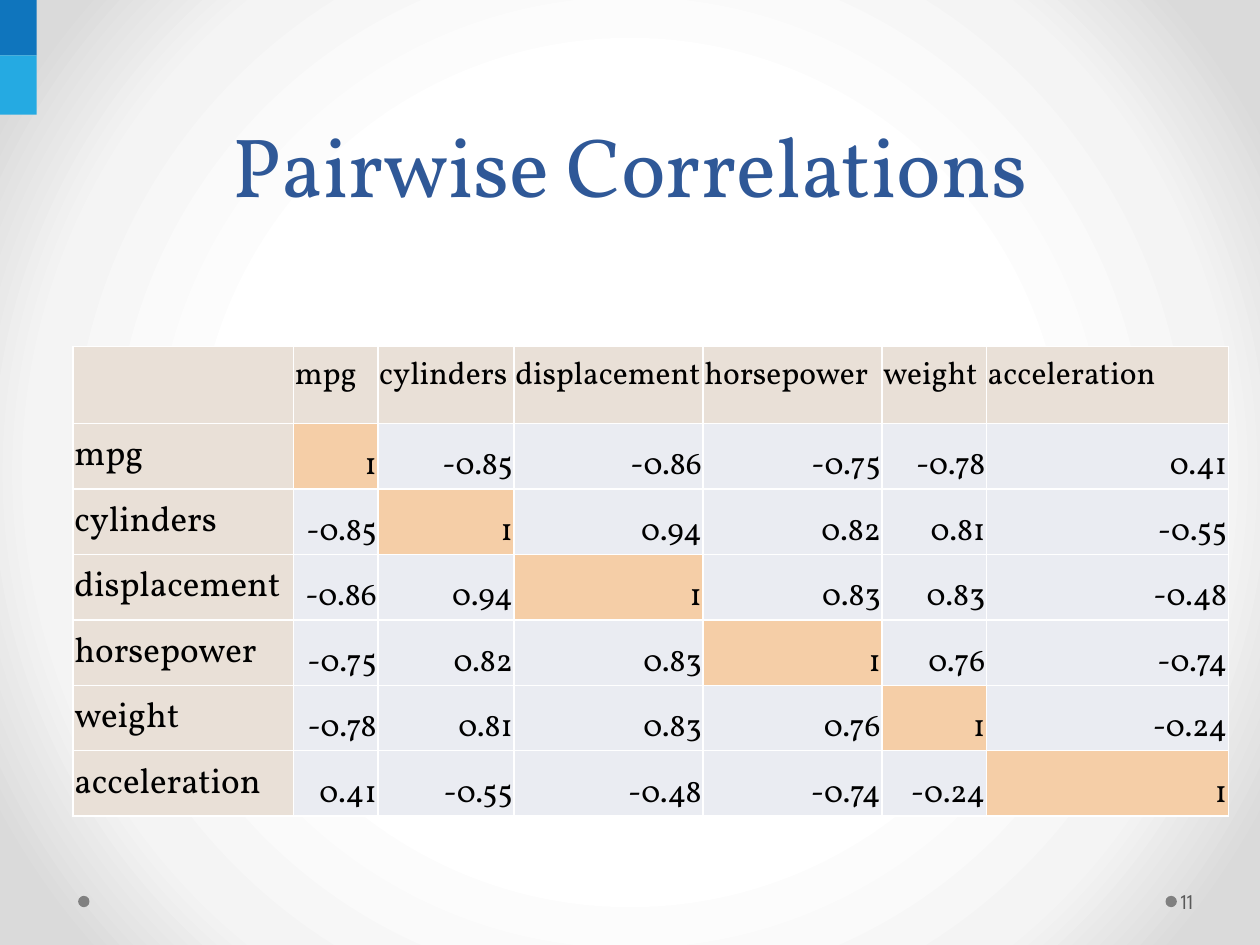
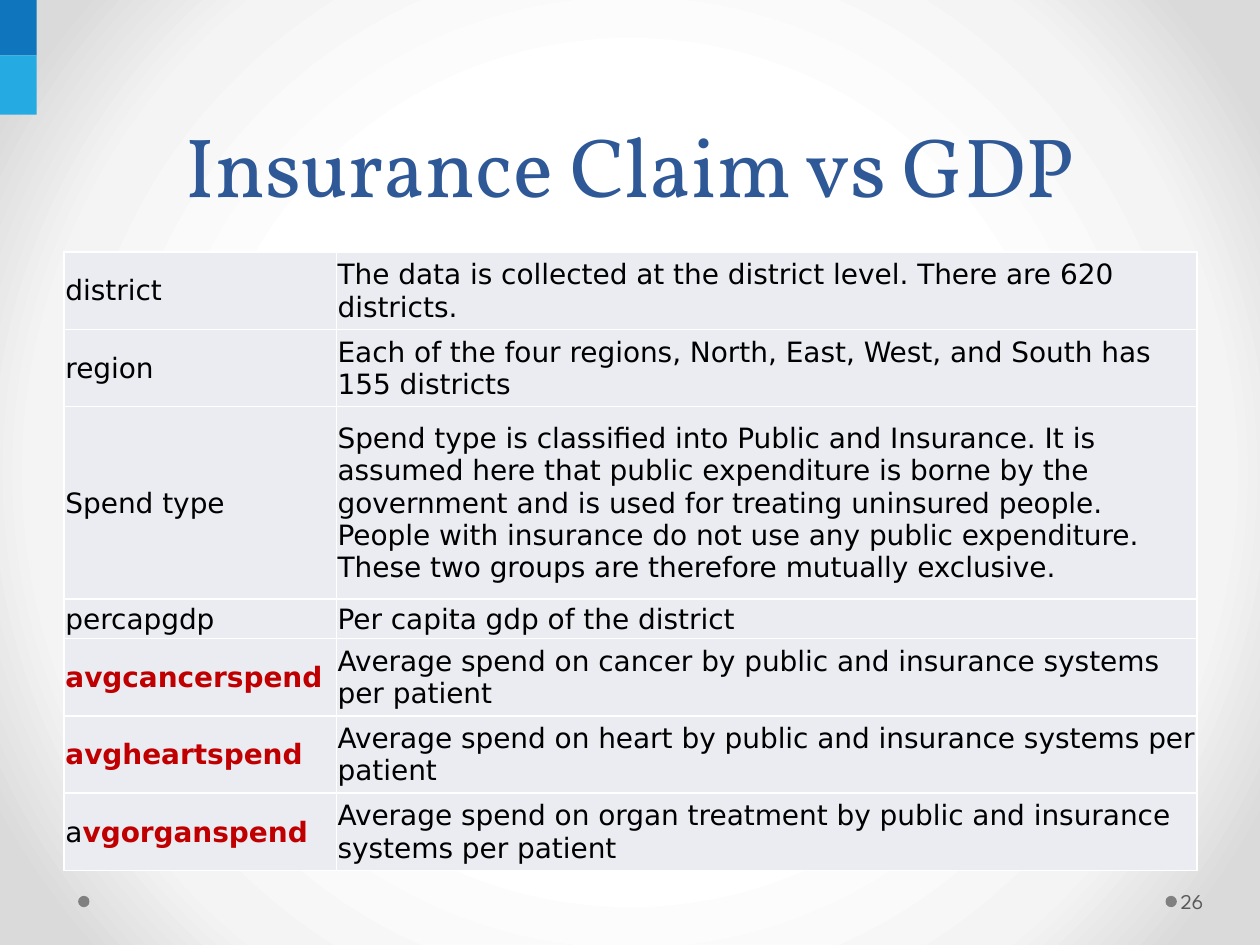
from dataclasses import dataclass

from pptx import Presentation
from pptx.dml.color import RGBColor
from pptx.enum.shapes import MSO_SHAPE
from pptx.enum.text import MSO_ANCHOR, MSO_AUTO_SIZE, PP_ALIGN
from pptx.oxml import parse_xml
from pptx.oxml.ns import nsdecls, qn
from pptx.util import Inches, Pt


@dataclass(frozen=True)
class Theme:
    """Colours, fonts and type sizes used across the deck."""
    title: str = "2F5897"
    ink: str = "000000"
    strong: str = "C00000"
    number: str = "595959"
    dot: str = "808080"
    band_dark: str = "0F75BD"
    band_light: str = "25AAE2"
    heading_fill: str = "E9E0D7"
    diagonal_fill: str = "F5CEA7"
    cell_fill: str = "EAECF2"
    border: str = "FFFFFF"
    serif: str = "Vollkorn"
    sans: str = "DejaVu Sans"
    number_font: str = "League Spartan"
    title_size: int = 48
    title_leading: int = 58
    label_size: int = 20
    value_size: int = 18
    text_size: int = 16
    number_size: int = 12


@dataclass(frozen=True)
class Box:
    """A rectangle in columns and rows of the slide grid."""
    left: float
    top: float
    width: float
    height: float

    def place(self):
        """Return left, top, width and height as lengths."""
        return (int(self.left * COLUMN), int(self.top * ROW),
                int(self.width * COLUMN), int(self.height * ROW))


THEME = Theme()
WIDTH, HEIGHT = Inches(10), Inches(7.5)
COLUMN, ROW = WIDTH / 100, HEIGHT / 75
TITLE_BOX = Box(5, 5, 90, 12.5)
NUMBER_BOX = Box(93.4, 69.5, 6.1, 4)
BACKGROUND_STOPS = [(50, "FFFFFF"), (76, "F4F4F4"), (92, "DADADA")]
DECORATIONS = [
    (MSO_SHAPE.OVAL, Box(92.5, 71.1, 0.9, 0.9), THEME.dot),
    (MSO_SHAPE.OVAL, Box(6.2, 71.1, 0.9, 0.9), THEME.dot),
    (MSO_SHAPE.RECTANGLE, Box(0, 0, 2.9, 4.4), THEME.band_dark),
    (MSO_SHAPE.RECTANGLE, Box(0, 4.4, 2.9, 4.7), THEME.band_light),
]

VARIABLES = ["mpg", "cylinders", "displacement", "horsepower", "weight", "acceleration"]
LOWER_TRIANGLE = [
    [],
    [-0.85],
    [-0.86, 0.94],
    [-0.75, 0.82, 0.83],
    [-0.78, 0.81, 0.83, 0.76],
    [0.41, -0.55, -0.48, -0.74, -0.24],
]

FIELDS = [
    ("district", "", "The data is collected at the district level. There are 620 districts."),
    ("region", "", "Each of the four regions, North, East, West, and South has 155 districts"),
    ("Spend type", "",
     "Spend type is classified into Public and Insurance. It is assumed here that public "
     "expenditure is borne by the government and is used for treating uninsured people. "
     "People with insurance do not use any public expenditure. "
     "These two groups are therefore mutually exclusive."),
    ("percapgdp", "", "Per capita gdp of the district"),
    ("", "avgcancerspend", "Average spend on cancer by public and insurance systems per patient"),
    ("", "avgheartspend", "Average spend on heart by public and insurance systems per patient"),
    ("a", "vgorganspend",
     "Average spend on organ treatment by public and insurance systems per patient"),
]


def style(font, name, size, color):
    """Set the typeface, size and colour of a font."""
    font.name, font.size = name, Pt(size)
    font.color.rgb = RGBColor.from_string(color)


def paint_background(master):
    """Give the master a circular gradient."""
    stops = "".join(f'<a:gs pos="{share * 1000}"><a:srgbClr val="{color}"/></a:gs>'
                    for share, color in BACKGROUND_STOPS)
    master.background.fill.background()
    properties = next(master.element.iter(qn("p:bgPr")))
    properties.replace(properties[0], parse_xml(
        f'<a:gradFill {nsdecls("a")} rotWithShape="1"><a:gsLst>{stops}</a:gsLst>'
        '<a:path path="circle"><a:fillToRect l="50000" t="50000" r="50000" b="50000"/>'
        '</a:path></a:gradFill>'))


def decorate_layout(layout, page):
    """Draw the bands and dots and hand them to the layout that all pages share."""
    for holder in list(layout.placeholders)[1:]:
        holder.element.getparent().remove(holder.element)
    for kind, box, color in DECORATIONS:
        shape = page.shapes.add_shape(kind, *box.place())
        shape.shadow.inherit = False
        shape.fill.solid()
        shape.fill.fore_color.rgb = RGBColor.from_string(color)
        shape.line.fill.background()
        layout.shapes.element.append(shape.element)


def place_title(page, box, text):
    """Fill the title placeholder."""
    title = page.shapes.title
    title.left, title.top, title.width, title.height = box.place()
    frame = title.text_frame
    frame.text = text
    frame.auto_size = MSO_AUTO_SIZE.NONE
    frame.vertical_anchor = MSO_ANCHOR.BOTTOM
    para = frame.paragraphs[0]
    para.alignment = PP_ALIGN.CENTER
    para.line_spacing = Pt(THEME.title_leading)
    style(para.font, THEME.serif, THEME.title_size, THEME.title)


def place_number(page, box, number):
    """Write the page number beside the right dot."""
    frame = page.shapes.add_textbox(*box.place()).text_frame
    frame.word_wrap = True
    frame.vertical_anchor = MSO_ANCHOR.MIDDLE
    frame.margin_left, frame.margin_right = Inches(0.03), Inches(0.05)
    para = frame.paragraphs[0]
    para.text = str(number)
    style(para.font, THEME.number_font, THEME.number_size, THEME.number)


def prepare_cell(cell, fill):
    """Give a cell its borders, insets and fill."""
    properties = cell._tc.get_or_add_tcPr()
    for side in "LRTB":
        properties.append(parse_xml(
            f'<a:ln{side} {nsdecls("a")} w="{Pt(1)}"><a:solidFill>'
            f'<a:srgbClr val="{THEME.border}"/></a:solidFill></a:ln{side}>'))
    cell.margin_left = cell.margin_right = cell.margin_top = Inches(0.01)
    cell.margin_bottom = 0
    cell.vertical_anchor = MSO_ANCHOR.MIDDLE
    cell.fill.solid()
    cell.fill.fore_color.rgb = RGBColor.from_string(fill)


def write_cell(cell, text, font, size):
    """Write plain text into a cell and return its paragraph."""
    para = cell.text_frame.paragraphs[0]
    para.text = text
    style(para.font, font, size, THEME.ink)
    return para


def add_grid(page, box, columns, rows):
    """Add a plain table whose columns and rows share the box by weight."""
    left, top, width, height = box.place()
    table = page.shapes.add_table(len(rows), len(columns), left, top, width, height).table
    table.first_row = table.horz_banding = False
    for column, weight in zip(table.columns, columns):
        column.width = int(width * weight / sum(columns))
    for row, weight in zip(table.rows, rows):
        row.height = int(height * weight / sum(rows))
    return table


def place_correlations(page, box):
    """Fill a symmetric matrix from its lower triangle."""
    count = len(VARIABLES)
    table = add_grid(page, box, [1.75, 0.67, 1.08, 1.5, 1.42, 0.83, 1.92], [0.61] + [0.52] * count)
    prepare_cell(table.cell(0, 0), THEME.heading_fill)
    for index, name in enumerate(VARIABLES):
        heading = table.cell(0, index + 1)
        prepare_cell(heading, THEME.heading_fill)
        heading.margin_bottom = Inches(0.2)
        heading.vertical_anchor = MSO_ANCHOR.BOTTOM
        write_cell(heading, name, THEME.serif, THEME.value_size)
        label = table.cell(index + 1, 0)
        prepare_cell(label, THEME.heading_fill)
        write_cell(label, name, THEME.serif, THEME.label_size)
        for other in range(count):
            same = index == other
            low, high = sorted((index, other))
            value = "1" if same else f"{LOWER_TRIANGLE[high][low]:.2f}"
            cell = table.cell(index + 1, other + 1)
            prepare_cell(cell, THEME.diagonal_fill if same else THEME.cell_fill)
            cell.vertical_anchor = MSO_ANCHOR.BOTTOM
            write_cell(cell, value, THEME.serif, THEME.value_size).alignment = PP_ALIGN.RIGHT


def place_fields(page, box):
    """List each field with its description."""
    table = add_grid(page, box, [2.16, 6.83], [0.61, 0.61, 1.52, 0.31, 0.61, 0.61, 0.61])
    for index, (plain, strong, description) in enumerate(FIELDS):
        name, detail = table.cell(index, 0), table.cell(index, 1)
        for cell, text in ((name, plain), (detail, description)):
            prepare_cell(cell, THEME.cell_fill)
            para = write_cell(cell, text, THEME.sans, THEME.text_size)
        if strong:
            para = name.text_frame.paragraphs[0]
            span = para.add_run()
            span.text = strong
            span.font.bold = True
            span.font.color.rgb = RGBColor.from_string(THEME.strong)


def add_page(deck, layout, title, number):
    """Add a page with its title and number."""
    page = deck.slides.add_slide(layout)
    place_title(page, TITLE_BOX, title)
    place_number(page, NUMBER_BOX, number)
    return page


def main():
    """Build and save the deck."""
    deck = Presentation()
    deck.slide_width, deck.slide_height = WIDTH, HEIGHT
    layout = deck.slide_layouts.get_by_name("Title Only")
    paint_background(deck.slide_master)

    correlations = add_page(deck, layout, "Pairwise Correlations", 11)
    decorate_layout(layout, correlations)
    place_correlations(correlations, Box(5.8, 27.5, 91.7, 37.3))

    claims = add_page(deck, layout, "Insurance Claim vs GDP", 26)
    place_fields(claims, Box(5.1, 20, 89.9, 49.1))
    deck.save("out.pptx")


if __name__ == "__main__":
    main()
